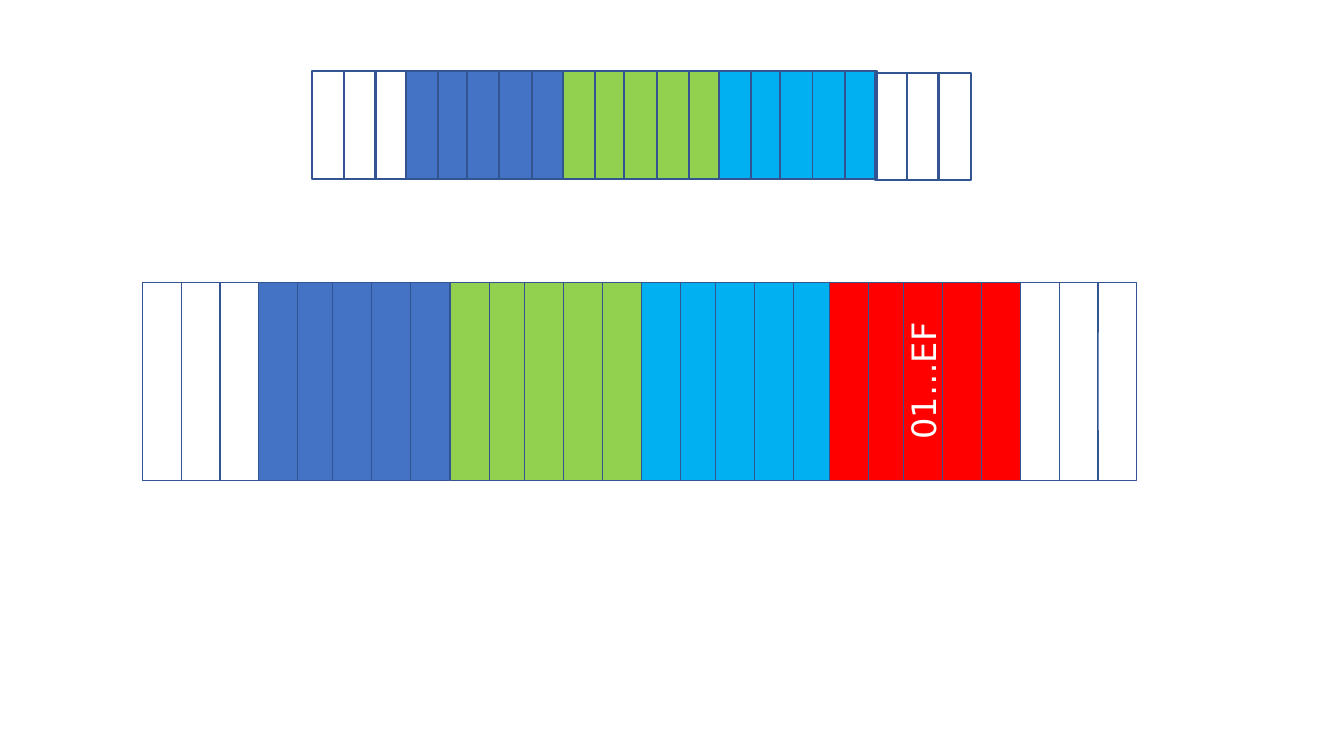
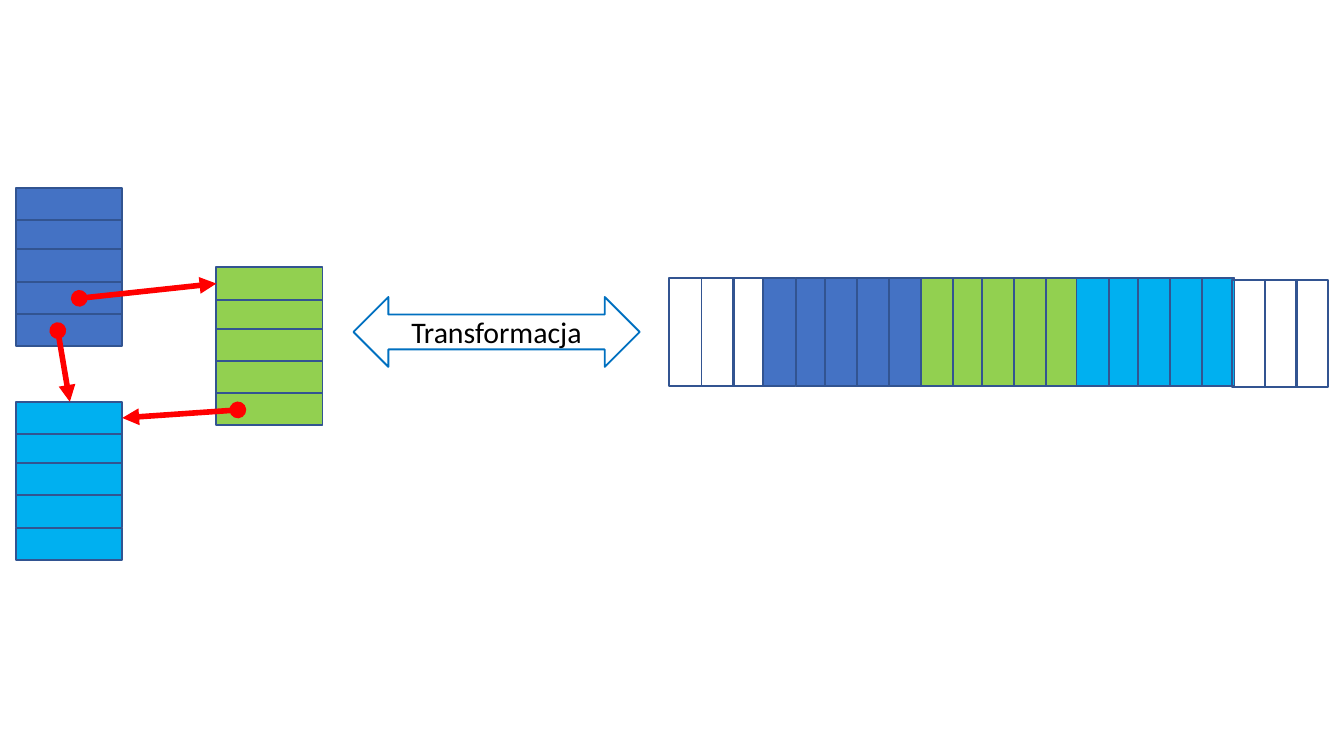
from lxml import etree
from pptx import Presentation
from pptx.dml.color import RGBColor
from pptx.enum import shapes, text
from pptx.oxml.ns import qn
from pptx.util import Inches, Pt

EDGE, BLUE, GREEN, CYAN, RED = "325491", "4472C4", "92D050", "00B0F0", "FF0000"

# Where the cells of a block start, counted in cell thicknesses
BLANK_STEPS = (0, 1, 1.97)
BLOCK_STEPS = (0, 1, 1.9, 2.9, 3.9)

# Memory strips: blocks are (fill, offset from strip's left, drop, label)
PACKED_BLOCKS = [
    (None, 0, 0, None),
    (BLUE, 0.7, 0, None),
    (GREEN, 1.87, 0, None),
    (CYAN, 3.03, 0, None),
    (None, 4.19, 0.01, None),
]
EXTENDED_BLOCKS = [
    (None, 0, 0, None),
    (BLUE, 0.86, 0, None),
    (GREEN, 2.29, 0, None),
    (CYAN, 3.71, 0, None),
    (None, 6.53, 0, None),
    (RED, 5.11, 0, "01…EF"),
]
PACKED = {"blocks": PACKED_BLOCKS, "thick": 0.24, "length": 0.8, "weight": 1}
EXTENDED = {"blocks": EXTENDED_BLOCKS, "thick": 0.29, "length": 1.47, "weight": 0.25}

# Linked records: (fill, left, top), then the pointers between them
RECORDS = [(BLUE, 0.12, 1.4), (GREEN, 1.61, 1.99), (CYAN, 0.12, 2.99)]
RECORD_WIDTH, FIELD_HEIGHT = 0.79, 0.24
POINTERS = [
    ((0.59, 2.22), (1.61, 2.11)),
    ((0.43, 2.46), (0.52, 2.99)),
    ((1.77, 3.05), (0.91, 3.11)),
]
TRANSFORM = ("Transformacja", (2.63, 2.21, 2.13, 0.52))


def color(value):
    return RGBColor.from_string(value)


def draw_shape(parent, kind, box, fill, line, weight):
    shape = parent.add_shape(kind, *map(Inches, box))
    shape.shadow.inherit = False
    if fill:
        shape.fill.solid()
        shape.fill.fore_color.rgb = color(fill)
    else:
        shape.fill.background()
    shape.line.color.rgb = color(line)
    shape.line.width = Pt(weight)
    return shape


def write(shape, words, size, font, ink, **frame_format):
    frame = shape.text_frame
    for name, value in frame_format.items():
        setattr(frame, name, value)
    frame.vertical_anchor = text.MSO_ANCHOR.MIDDLE
    paragraph = frame.paragraphs[0]
    paragraph.alignment = text.PP_ALIGN.CENTER
    run = paragraph.add_run()
    run.text = words
    run.font.size, run.font.name = Pt(size), font
    run.font.color.rgb = color(ink)


def draw_strip(slide, left, top, blocks, thick, length, weight):
    """Row of upright cells, each a flat rectangle turned by 270 degrees."""
    group = slide.shapes.add_group_shape().shapes
    turn = (length - thick) / 2
    for fill, offset, drop, label in blocks:
        steps = BLOCK_STEPS if fill else BLANK_STEPS
        for number, step in enumerate(steps):
            box = (left + offset + step * thick - turn, top + drop + turn, length, thick)
            cell = draw_shape(group, shapes.MSO_SHAPE.RECTANGLE, box, fill, EDGE, weight)
            cell.rotation = 270
            if label and number == len(steps) // 2:
                write(cell, label, 18, "DejaVu Sans", "FFFFFF", word_wrap=False,
                      margin_left=0, margin_right=0, margin_top=0, margin_bottom=0)


def draw_pointer(parent, start, end):
    pointer = parent.add_connector(
        shapes.MSO_CONNECTOR.STRAIGHT, *map(Inches, start + end))
    pointer.line.color.rgb = color(RED)
    pointer.line.width = Pt(3)
    outline = pointer.line._get_or_add_ln()
    for tag, kind in (("a:headEnd", "oval"), ("a:tailEnd", "triangle")):
        etree.SubElement(outline, qn(tag), type=kind)
    etree.SubElement(pointer._element.spPr, qn("a:effectLst"))


def draw_records(slide):
    group = slide.shapes.add_group_shape().shapes
    for fill, left, top in RECORDS:
        for step in BLOCK_STEPS:
            box = (left, top + step * FIELD_HEIGHT, RECORD_WIDTH, FIELD_HEIGHT)
            draw_shape(group, shapes.MSO_SHAPE.RECTANGLE, box, fill, EDGE, 1)
    for start, end in POINTERS:
        draw_pointer(group, start, end)


def main():
    # Widescreen deck, 16 to 9
    deck = Presentation()
    deck.slide_width = Inches(10)
    deck.slide_height = deck.slide_width * 9 // 16
    blank = deck.slide_layouts[6]

    # Slide 1: the packed strip and its extended form
    growth = deck.slides.add_slide(blank)
    draw_strip(growth, 2.32, 0.53, **PACKED)
    draw_strip(growth, 1.06, 2.1, **EXTENDED)

    # Slide 2: linked records turned into a packed strip and back
    packing = deck.slides.add_slide(blank)
    draw_records(packing)
    draw_strip(packing, 4.98, 2.07, **PACKED)
    words, box = TRANSFORM
    arrow = draw_shape(packing.shapes, shapes.MSO_SHAPE.LEFT_RIGHT_ARROW,
                       box, "FFFFFF", "0070C0", 1)
    write(arrow, words, 16, "Calibri", "000000", word_wrap=True)

    deck.save("out.pptx")


if __name__ == "__main__":
    main()
